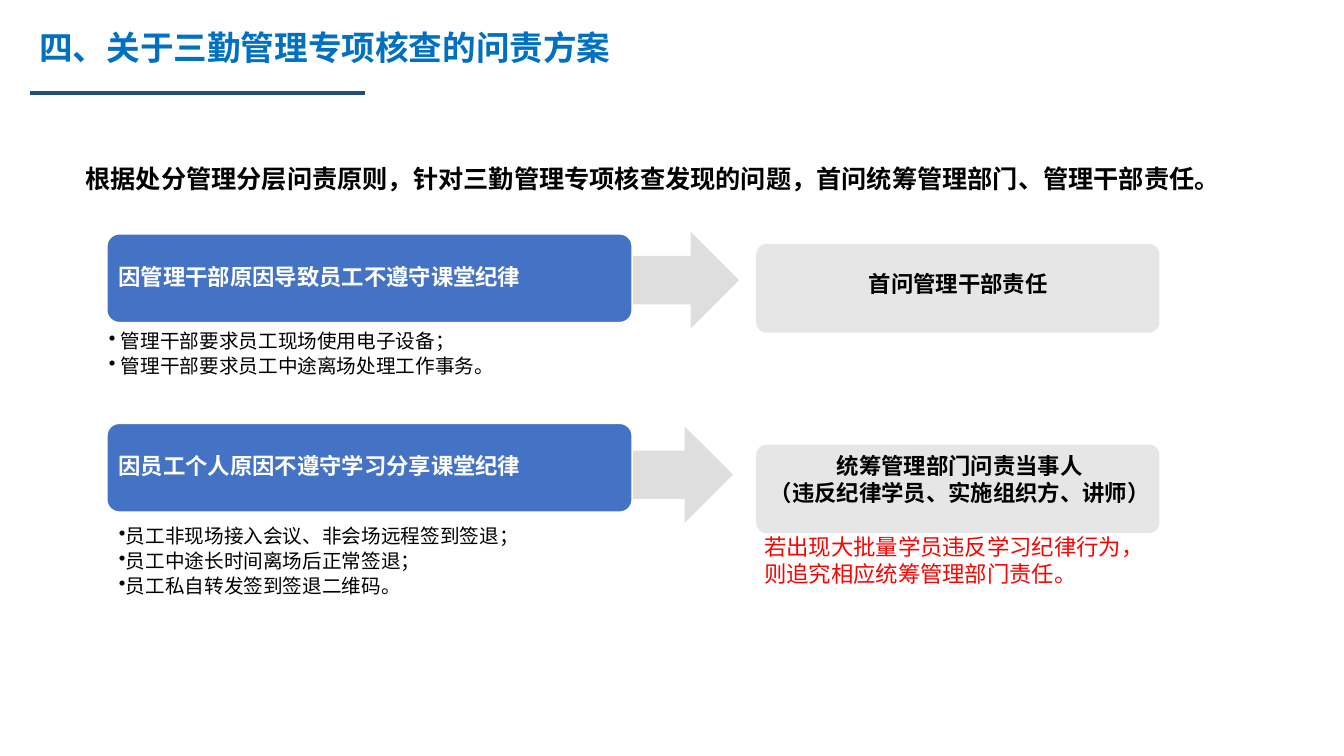
"""Build the accountability plan slide for attendance checks."""
from pptx import Presentation
from pptx.dml.color import RGBColor
from pptx.enum import shapes, text
from pptx.oxml.ns import qn
from pptx.util import Inches, Pt
from lxml import etree

TITLE_BLUE = RGBColor(0x00, 0x70, 0xC0)
RULE_BLUE = RGBColor(0x1F, 0x4E, 0x79)
CARD_BLUE = RGBColor(0x44, 0x72, 0xC4)
CARD_GRAY = RGBColor(0xE7, 0xE6, 0xE6)
ARROW_GRAY = RGBColor(0x76, 0x71, 0x71)
WHITE = RGBColor(0xFF, 0xFF, 0xFF)
BLACK = RGBColor(0x00, 0x00, 0x00)
RED = RGBColor(0xFF, 0x00, 0x00)

prs = Presentation()
prs.slide_width, prs.slide_height = Inches(13.33), Inches(7.5)
s = prs.slides.add_slide(prs.slide_layouts[6])


def add_block(kind, box, fill):
    sp = s.shapes.add_shape(kind, *map(Inches, box))
    sp.shadow.inherit = False
    sp.fill.solid()
    sp.fill.fore_color.rgb = fill
    sp.line.fill.background()
    return sp


def write(tf, lines, font, para=None, frame=None, bullet=None):
    for name, value in {"word_wrap": True, **(frame or {})}.items():
        setattr(tf, name, value)
    for i, line in enumerate(lines):
        p = tf.add_paragraph() if i else tf.paragraphs[0]
        p.text = line
        for name, value in (para or {}).items():
            setattr(p, name, value)
        if bullet:
            pPr = p._p.get_or_add_pPr()
            pPr.set("marL", str(Inches(bullet)))
            pPr.set("indent", str(-Inches(bullet)))
            etree.SubElement(pPr, qn("a:buChar"), char="•")
        for r in p.runs:
            r.font.name = "Arial"
            r.font.color.rgb = font["color"]
            r.font.size = Pt(font["size"])
            r.font.bold = font.get("bold", False)


for line, box, font in [
    ("四、关于三勤管理专项核查的问责方案", (0.29, 0.22, 5.92, 0.5),
     {"size": 24, "color": TITLE_BLUE, "bold": True}),
    ("根据处分管理分层问责原则，针对三勤管理专项核查发现的问题，首问统筹管理部门、管理干部责任。",
     (0.75, 1.57, 11.56, 0.4), {"size": 18, "color": BLACK, "bold": True}),
]:
    tb = s.shapes.add_textbox(*map(Inches, box))
    write(tb.text_frame, [line], font, frame={
        "word_wrap": False, "auto_size": text.MSO_AUTO_SIZE.SHAPE_TO_FIT_TEXT})

rule = s.shapes.add_connector(shapes.MSO_CONNECTOR.STRAIGHT, Inches(0.3),
                              Inches(0.92), Inches(3.62), Inches(0.92))
rule.line.color.rgb = RULE_BLUE
rule.line.width = Pt(3)
etree.SubElement(rule._element.spPr, qn("a:effectLst"))

rows = [
    {"cause": "因管理干部原因导致员工不遵守课堂纪律", "cause_top": 2.32,
     "arrow": (6.2, 2.3), "card_top": 2.42,
     "points": ["管理干部要求员工现场使用电子设备；", "管理干部要求员工中途离场处理工作事务。"],
     "points_box": (0.96, 3.27, 6.54, 0.88), "indent": 0.12,
     "answer": "首问管理干部责任", "answer_box": (7.68, 2.63, 3.65, 0.52)},
    {"cause": "因员工个人原因不遵守学习分享课堂纪律", "cause_top": 4.2,
     "arrow": (6.14, 4.23), "card_top": 4.41,
     "points": ["员工非现场接入会议、非会场远程签到签退；", "员工中途长时间离场后正常签退；",
                "员工私自转发签到签退二维码。"],
     "points_box": (1.06, 5.2, 7.3, 0.98), "indent": 0.06,
     "answer": "统筹管理部门问责当事人\n（违反纪律学员、实施组织方、讲师）",
     "answer_box": (7.48, 4.44, 4.08, 1.16)},
]
ROUNDED = shapes.MSO_SHAPE.ROUNDED_RECTANGLE
card_frame = {"vertical_anchor": text.MSO_ANCHOR.MIDDLE}
card_frame.update((f"margin_{side}", Inches(0.08)) for side in ("left", "right", "top", "bottom"))
points_frame = {"margin_left": Inches(0.12), "margin_right": Inches(0.09),
                "margin_top": Inches(0.02), "margin_bottom": Inches(0.02)}

for row in rows:
    card = add_block(ROUNDED, (7.5, row["card_top"], 4.0, 0.88), CARD_GRAY)
    card.adjustments[0] = 0.12

    arrow = add_block(shapes.MSO_SHAPE.RIGHT_ARROW, (*row["arrow"], 1.13, 0.96), ARROW_GRAY)
    color = arrow.fill._xPr.find(qn("a:solidFill"))[0]
    etree.SubElement(color, qn("a:alpha"), val="23000")

    cause = add_block(ROUNDED, (1.06, row["cause_top"], 5.21, 0.88), CARD_BLUE)
    cause.adjustments[0] = 0.14
    cause.line.color.rgb = WHITE
    cause.line.width = Pt(1)
    write(cause.text_frame, [row["cause"]], {"size": 16, "color": WHITE, "bold": True},
          {"alignment": text.PP_ALIGN.LEFT, "line_spacing": 0.9, "space_after": Pt(5.6)},
          card_frame)

    points = s.shapes.add_textbox(*map(Inches, row["points_box"]))
    write(points.text_frame, row["points"], {"size": 14, "color": BLACK},
          {"line_spacing": 0.9, "space_after": Pt(2.8)}, points_frame, row["indent"])

    answer = s.shapes.add_textbox(*map(Inches, row["answer_box"]))
    write(answer.text_frame, [row["answer"]], {"size": 16, "color": BLACK, "bold": True},
          {"alignment": text.PP_ALIGN.CENTER})

p = answer.text_frame.add_paragraph()
p.space_before = Pt(19)
r = p.add_run()
r.text = "若出现大批量学员违反学习纪律行为，则追究相应统筹管理部门责任。"
r.font.name, r.font.size, r.font.bold = "Arial", Pt(16), False
r.font.color.rgb = RED

prs.save("out.pptx")
